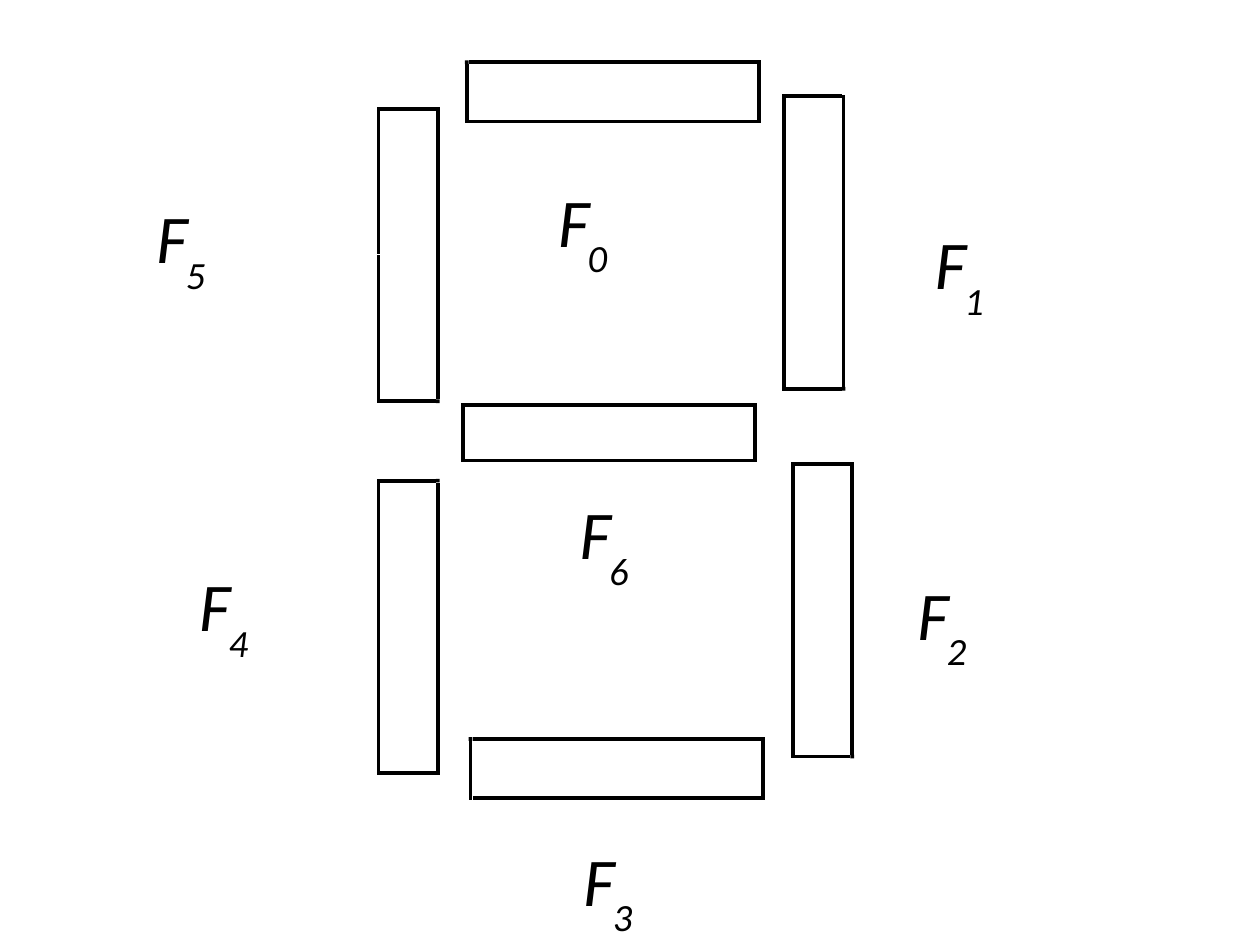
from pptx import Presentation
from pptx import util as u
from pptx.dml.color import RGBColor
from pptx.enum import shapes, text

BLACK = RGBColor(0x00, 0x00, 0x00)
WHITE = RGBColor(0xFF, 0xFF, 0xFF)

presentation = Presentation()
presentation.slide_width = u.Inches(10)
presentation.slide_height = u.Inches(7.5)
slide = presentation.slides.add_slide(presentation.slide_layouts[6])

# Square grid of 1000 columns by 750 rows
CELL = presentation.slide_width // 1000

LENGTH, SPLIT, THICKNESS, BORDER = 232, 117, 47, 3
SUBSCRIPT_RIGHT, SUBSCRIPT_DOWN = 23.5, 44


def add_text(content, left, top, width, height, size, font="Calibri", color=BLACK, italic=True):
    box = slide.shapes.add_textbox(*[round(value * CELL) for value in (left, top, width, height)])
    frame = box.text_frame
    frame.word_wrap = False
    frame.auto_size = text.MSO_AUTO_SIZE.SHAPE_TO_FIT_TEXT
    frame.margin_left = frame.margin_right = frame.margin_top = frame.margin_bottom = 0
    run = frame.paragraphs[0].add_run()
    run.text = content
    run.font.name = font
    run.font.size = u.Pt(size)
    run.font.italic = italic
    run.font.color.rgb = color


def add_block(left, top, width, height, color, corner=False):
    """Draw a borderless block: a preset square for a corner, an outline otherwise."""
    if corner:
        block = slide.shapes.add_shape(
            shapes.MSO_SHAPE.RECTANGLE, left * CELL, top * CELL, width * CELL, height * CELL)
    else:
        right, bottom = left + width, top + height
        builder = slide.shapes.build_freeform(left, top, scale=CELL)
        builder.add_line_segments([(right, top), (right, bottom), (left, bottom)], close=True)
        block = builder.convert_to_shape()
    block.shadow.inherit = False
    block.fill.solid()
    block.fill.fore_color.rgb = color
    block.line.fill.background()


# Starting corner of each segment, the way it runs from there, and its thickness
segments = [
    (604, 98, "left", THICKNESS),
    (601, 367, "left", THICKNESS - BORDER),
    (607, 635, "left", THICKNESS),
    (621, 75, "down", THICKNESS),
    (299, 85, "down", THICKNESS),
    (299, 615, "up", THICKNESS),
    (628, 367, "down", THICKNESS),
]
for x, y, direction, thickness in segments:
    # Offset along the segment, offset across it, extent along, extent across
    blocks = [
        (0, 0, LENGTH, thickness),
        (0, 0, SPLIT, BORDER),
        (LENGTH, 0, BORDER, thickness),
        (LENGTH, thickness, BORDER, BORDER),
        (0, thickness, LENGTH, BORDER),
        (0, 0, BORDER, thickness),
        (SPLIT, 0, LENGTH - SPLIT, BORDER),
    ]
    for index, (along, across, long, wide) in enumerate(blocks):
        if direction == "left":
            box = (x - along - long, y - across - wide, long, wide)
        elif direction == "up":
            box = (x + across, y - along - long, wide, long)
        else:
            box = (x + across, y + along, wide, long)
        add_block(*box, color=BLACK if index else WHITE, corner=long == wide)

# Left and top of each label, by segment number
labels = {
    4: (158, 447), 5: (124, 155), 3: (463, 665), 6: (460, 390),
    0: (443, 142), 1: (742, 176), 2: (728, 454),
}
for number, (left, top) in labels.items():
    add_text("F", left, top, 25, 65, size=39)
    add_text(str(number), left + SUBSCRIPT_RIGHT, top + SUBSCRIPT_DOWN, 16, 37, size=22)

presentation.save("out.pptx")
